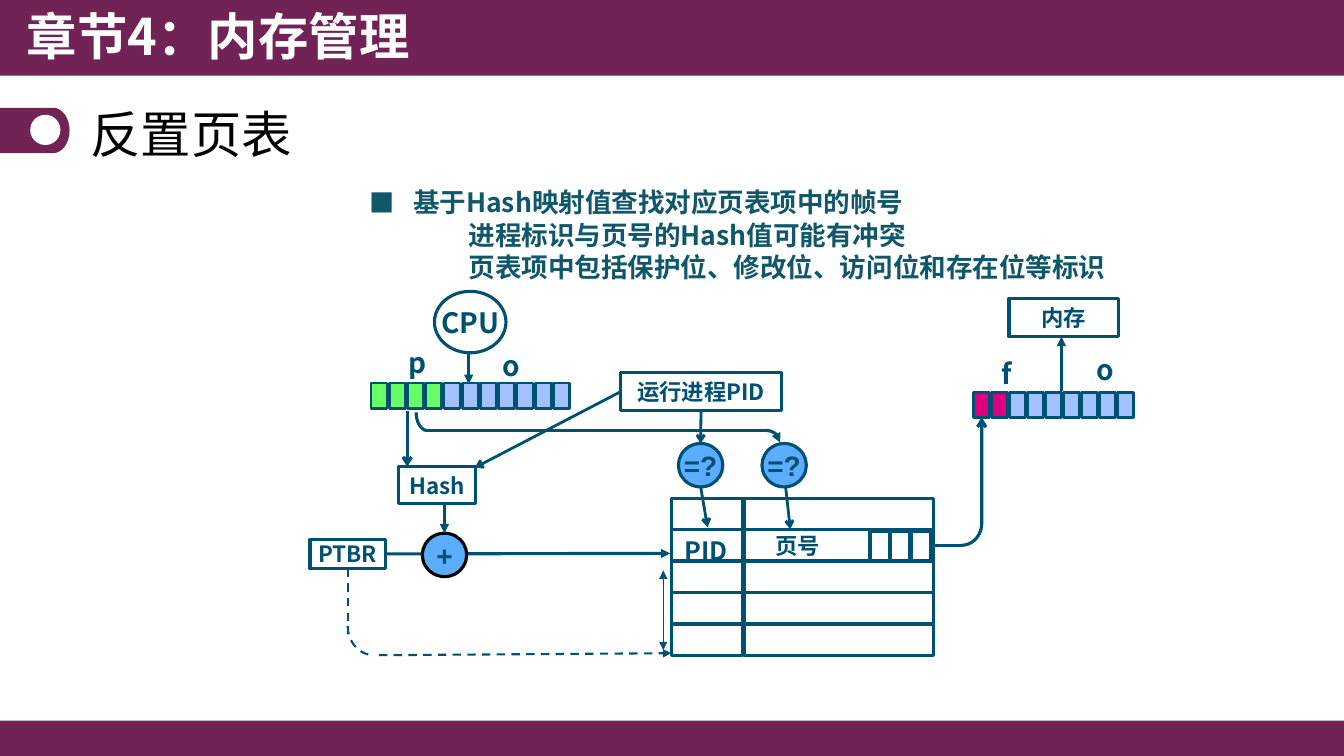
import math

from lxml import etree
from pptx import Presentation
from pptx import util as u
from pptx.dml.color import RGBColor
from pptx.enum import dml, shapes, text
from pptx.oxml.ns import qn

PLUM = RGBColor(0x71, 0x23, 0x55)
NAVY = RGBColor(0x00, 0x50, 0x72)
TEAL = RGBColor(0x11, 0x57, 0x6A)
SKY = RGBColor(0x5C, 0xAD, 0xFF)
PALE = RGBColor(0xA2, 0xC1, 0xFE)
GREEN = RGBColor(0x66, 0xFF, 0x66)
PINK = RGBColor(0xDC, 0x00, 0x81)
WHITE = RGBColor(0xFF, 0xFF, 0xFF)
BLACK = RGBColor(0x00, 0x00, 0x00)

RECT = shapes.MSO_SHAPE.RECTANGLE
OVAL = shapes.MSO_SHAPE.OVAL
TOP, LEFT, BOTTOM, RIGHT = range(4)
CJK = "Noto Sans CJK SC"


def ellipse_arc(center, radii, start, stop, steps=16):
    """Points on an ellipse between two angles in degrees, clockwise from the right."""
    angles = [math.radians(start + (stop - start) * i / steps) for i in range(steps + 1)]
    return [(center[0] + radii[0] * math.cos(a), center[1] + radii[1] * math.sin(a))
            for a in angles]


class Diagram:
    font = {"name": CJK, "size": 16, "bold": True, "color": NAVY}

    def __init__(self, page):
        self.page = page

    def set_text(self, frame, words, align, anchor, wrap, **changes):
        style = {**self.font, **changes}
        frame.word_wrap = wrap
        frame.vertical_anchor = anchor
        para = frame.paragraphs[0]
        para.alignment = align
        span = para.add_run()
        span.text = words
        values = {"name": style["name"], "size": u.Pt(style["size"]), "bold": style["bold"]}
        for key, value in values.items():
            setattr(span.font, key, value)
        span.font.color.rgb = style["color"]
        etree.SubElement(span._r.get_or_add_rPr(), qn("a:ea"), typeface=style["name"])

    def label(self, place, words, anchor=text.MSO_ANCHOR.TOP, **changes):
        box = self.page.shapes.add_textbox(*map(u.Pt, place))
        self.set_text(box.text_frame, words, text.PP_ALIGN.LEFT, anchor, True, **changes)

    def paint(self, shape, fill, line, width):
        shape.shadow.inherit = False
        if fill is None:
            shape.fill.background()
        else:
            shape.fill.solid()
            shape.fill.fore_color.rgb = fill
        if line is None:
            shape.line.fill.background()
        else:
            self.stroke(shape, line, width)

    def stroke(self, shape, color, width, dashed=False, head=None, tail=None):
        shape.line.color.rgb = color
        shape.line.width = u.Pt(width)
        if dashed:
            shape.line.dash_style = dml.MSO_LINE.DASH
        outline = shape.element.spPr.find(qn("a:ln"))
        for tag, kind in (("a:headEnd", head), ("a:tailEnd", tail)):
            if kind:
                etree.SubElement(outline, qn(tag), type=kind)

    def shape(self, kind, place, words=None, fill=None, line=NAVY, width=2.25, **changes):
        shape = self.page.shapes.add_shape(kind, *map(u.Pt, place))
        self.paint(shape, fill, line, width)
        if words:
            self.set_text(shape.text_frame, words, text.PP_ALIGN.CENTER,
                          text.MSO_ANCHOR.MIDDLE, False, **changes)
        return shape

    def outline(self, points, close=False):
        corners = [(u.Pt(x), u.Pt(y)) for x, y in points]
        builder = self.page.shapes.build_freeform(*corners[0])
        builder.add_line_segments(corners[1:], close=close)
        return builder.convert_to_shape()

    def bend(self, center, radii, start, stop, width=2.25, **ends):
        curve = self.outline(ellipse_arc(center, radii, start, stop))
        self.paint(curve, None, None, width)
        self.stroke(curve, NAVY, width, **ends)

    def link(self, begin, end, width=2.25, source=None, target=None, **ends):
        link = self.page.shapes.add_connector(
            shapes.MSO_CONNECTOR.STRAIGHT, *map(u.Pt, begin + end))
        if source:
            link.begin_connect(*source)
        if target:
            link.end_connect(*target)
        self.stroke(link, NAVY, width, **ends)
        etree.SubElement(link.element.spPr, qn("a:effectLst"))

    def cells(self, left, top, pitch, fills):
        return [self.shape(RECT, (left + i * pitch, top, 11.5, 18), fill=fill, width=2)
                for i, fill in enumerate(fills)]


def main():
    deck = Presentation()
    deck.slide_width, deck.slide_height = u.Pt(960), u.Pt(540)
    d = Diagram(deck.slides.add_slide(deck.slide_layouts[6]))

    # Bands, title and section heading
    d.shape(RECT, (0, 514.8, 960, 25.2), fill=PLUM, line=None)
    d.shape(RECT, (0, 0, 960, 54), fill=PLUM, line=None)
    tab = d.outline([(0, 77)] + ellipse_arc((38, 93.2), (11.7, 16.2), -90, 90)
                    + [(0, 109.4)], close=True)
    d.paint(tab, PLUM, None, 0)
    d.shape(OVAL, (21.6, 82, 21.6, 21.6), fill=WHITE, line=None)
    d.label((12.2, 0, 480, 55.4), "章节4：内存管理", size=36, color=WHITE)
    d.label((57.6, 68.4, 830, 54), "反置页表", text.MSO_ANCHOR.MIDDLE,
            size=36, bold=False, color=BLACK)

    # Explanation
    d.label((257, 130.3, 25.2, 28.8), "■", name="Noto Sans CJK JP", size=18, color=TEAL)
    for left, top, width, words in (
            (288, 129.6, 540, "基于Hash映射值查找对应页表项中的帧号"),
            (327.6, 152.6, 360, "进程标识与页号的Hash值可能有冲突"),
            (327.6, 175.7, 495.4, "页表项中包括保护位、修改位、访问位和存在位等标识")):
        d.label((left, top, width, 30.2), words, size=19, color=TEAL)

    # Logical address from the CPU
    d.shape(OVAL, (310.3, 208.1, 51.1, 43.9), "CPU", size=20)
    d.link((334.8, 250.6), (334.8, 274.3), tail="triangle")
    d.cells(265, 273.6, 13.03, [GREEN] * 4 + [PALE] * 7)

    # Physical address and memory
    d.shape(RECT, (720.7, 213.1, 78.5, 27.4), "内存")
    d.link((758.2, 279.4), (758.2, 240.5), tail="triangle")
    frame_cells = d.cells(695.5, 280.1, 12.87, [PINK] * 2 + [PALE] * 7)

    # Names of the address fields
    for left, top, name in ((284.4, 243.4, "p"), (352.1, 245.5, "o"),
                            (708.5, 251.3, "f"), (776.2, 248.4, "o")):
        d.label((left, top, 36.7, 31), name, size=20)

    # Inverted page table
    rows = [[d.shape(RECT, (left, 355.8 + 22.5 * row, width, 22.4))
             for left, width in ((479.5, 51.1), (531.4, 135.4))]
            for row in range(5)]
    for flag in range(3):
        d.shape(RECT, (621.4 + 14.7 * flag, 379.4, 13.7, 21.6))
    d.label((481.7, 378.7, 68.4, 28.8), "PID", size=18)
    d.label((546.5, 376.6, 82.8, 26.6), "页号")
    d.link((473.8, 464.4), (473.8, 407.5), 1, head="triangle", tail="triangle")

    # Base register and offset adder
    base = d.shape(RECT, (221.4, 385.2, 54, 20.9), "PTBR")
    d.link((275.4, 395.6), (478.8, 395.3), source=(base, RIGHT), tail="triangle")
    d.link((248.4, 406.1), (248.4, 452.9), 1.5, source=(base, BOTTOM), dashed=True)
    d.bend((267.1, 447.1), (18.7, 20.9), 180, 90, 1.5, dashed=True)
    d.link((270.7, 468), (479.5, 466.6), 1.5, dashed=True, tail="triangle")
    d.shape(OVAL, (301.7, 380.9, 31.7, 31), "+", fill=SKY, line=BLACK, name="Arial", size=20)

    # Hash of process and page number
    process = d.shape(RECT, (443.5, 266.4, 114.5, 26.6), "运行进程PID")
    d.shape(RECT, (284.4, 333.4, 55.4, 26.6), "Hash")
    d.link((443.5, 279.7), (339.1, 334.1), 2, source=(process, LEFT), tail="arrow")
    d.link((290.9, 293.8), (290.9, 333.4), tail="arrow")
    d.link((317.5, 360.7), (317.5, 380.9), tail="triangle")

    # Comparisons with the table entry
    compare = []
    for left, begin, end in ((484.6, (499, 339.1), (505.4, 376.6)),
                             (544.3, (560.2, 339.1), (564.5, 378))):
        d.link(begin, end, 2, tail="arrow")
        compare.append(d.shape(OVAL, (left, 316.8, 31.7, 31), "=?", fill=SKY,
                               name="Arial", size=20))
    d.link((500.4, 293), (500.4, 316.8), 2, source=(process, BOTTOM),
           target=(compare[0], TOP), tail="arrow")

    # Page number to the second comparison
    d.bend((305.3, 294.5), (8, 13), 180, 90)
    d.link((305.3, 307.4), (546.5, 307.4))
    d.bend((546.5, 316.1), (10.8, 8.7), -90, 0, tail="triangle")

    # Matching entry to the frame number
    d.link((666.8, 389.5), (687.6, 389.5), source=(rows[1][1], RIGHT))
    d.bend((686.9, 373.7), (14.4, 15.8), 90, 0)
    d.link((701.3, 373.7), (701.3, 298.1), target=(frame_cells[0], BOTTOM), tail="arrow")

    deck.save("out.pptx")


if __name__ == "__main__":
    main()
